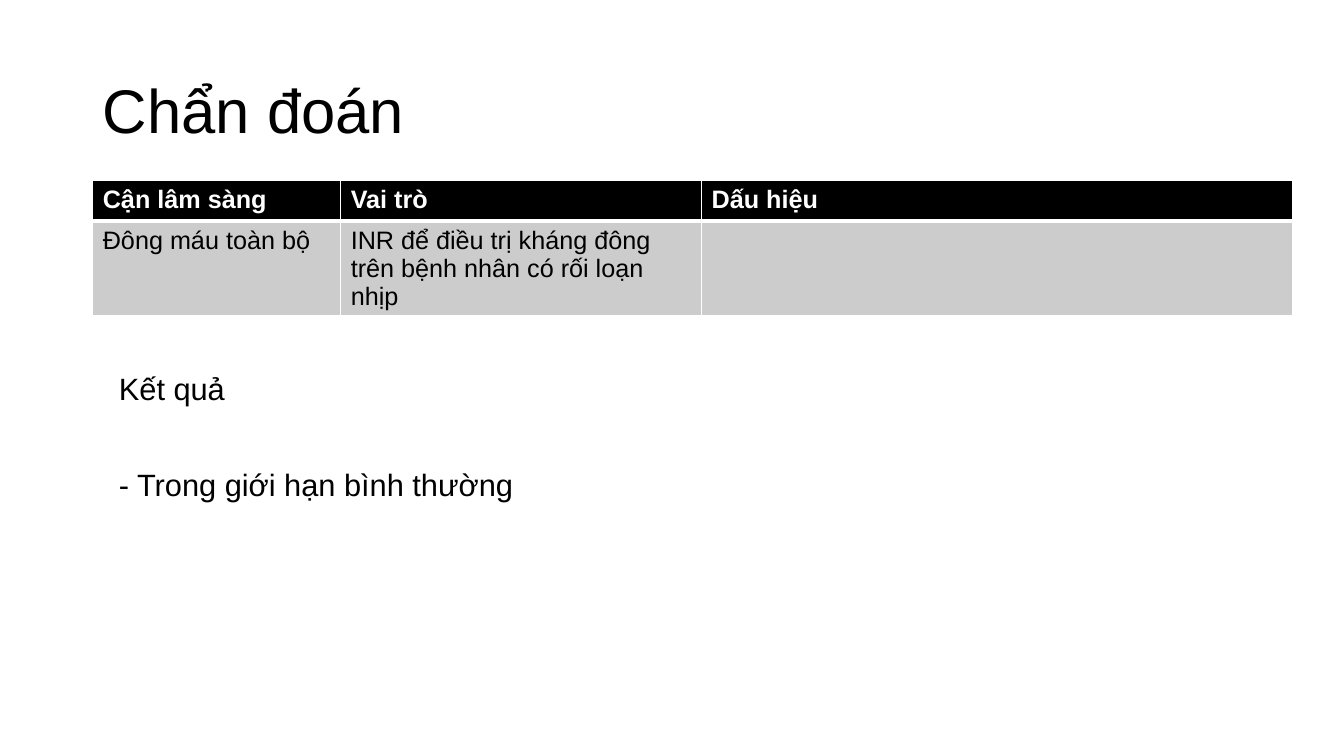
from dataclasses import dataclass

from lxml.etree import SubElement
from pptx import Presentation
from pptx.dml.color import RGBColor
from pptx.enum.text import MSO_ANCHOR, MSO_AUTO_SIZE, PP_ALIGN
from pptx.oxml.ns import qn
from pptx.util import Pt


@dataclass(frozen=True)
class Theme:
    font: str = "Arial"
    ink: str = "000000"
    paper: str = "FFFFFF"
    row_fill: str = "CCCCCC"
    title_size: float = 44
    table_size: float = 18
    body_size: float = 22


@dataclass(frozen=True)
class Box:
    left: float
    top: float
    width: float
    height: float


@dataclass(frozen=True)
class TestRow:
    cells: tuple[str, ...]
    fill: str
    color: str
    bold: bool
    bottom_line: float


THEME = Theme()
TITLE_BOX = Box(66.24, 28.8, 828, 104.4)
TABLE_BOX = Box(66.24, 128.88, 856.8, 101.52)
RESULT_BOX = Box(77.76, 263.52, 828, 234.72)
COLUMN_WIDTHS = (177.12, 257.76, 421.92)
ROW_HEIGHT = 29.2
TEST_ROWS = (
    TestRow(("Cận lâm sàng", "Vai trò", "Dấu hiệu"),
            THEME.ink, THEME.paper, True, 3),
    TestRow(("Đông máu toàn bộ",
             "INR để điều trị kháng đông trên bệnh nhân có rối loạn nhịp", ""),
            THEME.row_fill, THEME.ink, False, 1),
)
# Each result line with the space before it
RESULTS = (("Kết quả", 0), ("- Trong giới hạn bình thường", 45))


def apply_format(target, values: dict) -> None:
    for attribute, value in values.items():
        setattr(target, attribute, value)


def place(item, box: Box) -> None:
    apply_format(item, {"left": Pt(box.left), "top": Pt(box.top),
                        "width": Pt(box.width), "height": Pt(box.height)})


def style_font(font, size: float, color: str, bold: bool = False) -> None:
    apply_format(font, {"name": THEME.font, "size": Pt(size), "bold": bold})
    font.color.rgb = RGBColor.from_string(color)


def draw_borders(cell, bottom: float) -> None:
    properties = cell._tc.get_or_add_tcPr()
    for side, width in (("L", 1), ("R", 1), ("T", 1), ("B", bottom)):
        line = SubElement(properties, qn(f"a:ln{side}"), w=str(Pt(width)))
        fill = SubElement(line, qn("a:solidFill"))
        SubElement(fill, qn("a:srgbClr"), val=THEME.paper)


def write_title(slide) -> None:
    title = slide.shapes.title
    place(title, TITLE_BOX)
    apply_format(title.text_frame, {
        "text": "Chẩn đoán", "word_wrap": True,
        "auto_size": MSO_AUTO_SIZE.NONE, "vertical_anchor": MSO_ANCHOR.MIDDLE})
    heading = title.text_frame.paragraphs[0]
    apply_format(heading, {"alignment": PP_ALIGN.LEFT, "line_spacing": 0.9})
    style_font(heading.font, THEME.title_size, THEME.ink)


def add_test_table(slide) -> None:
    frame = slide.shapes.add_table(
        len(TEST_ROWS), len(COLUMN_WIDTHS), Pt(TABLE_BOX.left),
        Pt(TABLE_BOX.top), Pt(TABLE_BOX.width), Pt(TABLE_BOX.height))
    tests = frame.table
    for column, width in zip(tests.columns, COLUMN_WIDTHS):
        column.width = Pt(width)
    for row, test in zip(tests.rows, TEST_ROWS):
        row.height = Pt(ROW_HEIGHT)
        for cell, wording in zip(row.cells, test.cells):
            cell.text = wording
            style_font(cell.text_frame.paragraphs[0].font,
                       THEME.table_size, test.color, test.bold)
            # Borders come before the fill in the cell properties
            draw_borders(cell, test.bottom_line)
            cell.fill.solid()
            cell.fill.fore_color.rgb = RGBColor.from_string(test.fill)
    place(frame, TABLE_BOX)


def write_results(slide) -> None:
    results = slide.placeholders[1]
    place(results, RESULT_BOX)
    apply_format(results.text_frame, {
        "text": "\n".join(wording for wording, _ in RESULTS),
        "word_wrap": True, "auto_size": MSO_AUTO_SIZE.NONE,
        "vertical_anchor": MSO_ANCHOR.TOP})
    for paragraph, (_, gap) in zip(results.text_frame.paragraphs, RESULTS):
        properties = paragraph._p.get_or_add_pPr()
        properties.set("marL", "0")
        properties.set("indent", "0")
        SubElement(properties, qn("a:buNone"))
        apply_format(paragraph, {"alignment": PP_ALIGN.LEFT,
                                 "line_spacing": 0.9, "space_before": Pt(gap)})
        style_font(paragraph.font, THEME.body_size, THEME.ink)


def main() -> None:
    deck = Presentation()
    apply_format(deck, {"slide_width": Pt(960), "slide_height": Pt(540)})
    slide = deck.slides.add_slide(deck.slide_layouts[1])
    write_title(slide)
    add_test_table(slide)
    write_results(slide)
    deck.save("out.pptx")


if __name__ == "__main__":
    main()
